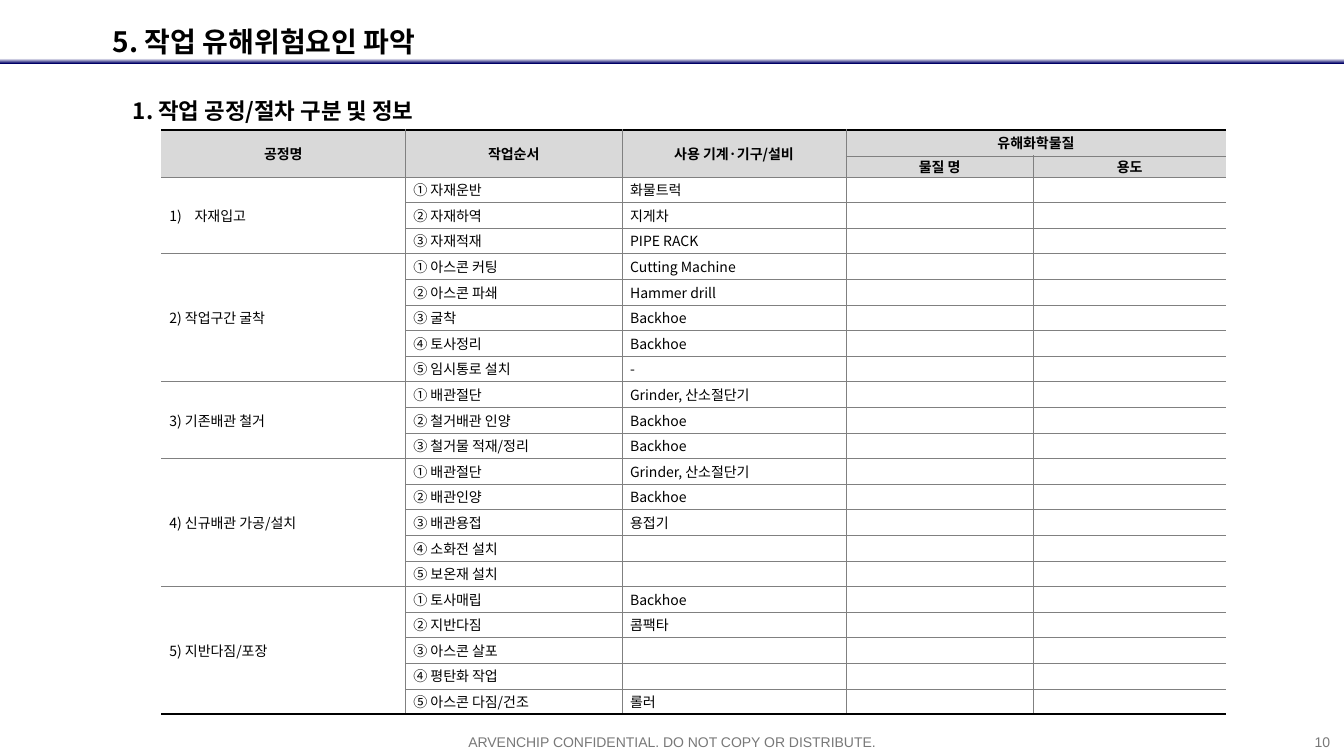
from lxml import etree
from pptx import Presentation
from pptx import util as u
from pptx.dml.color import RGBColor
from pptx.enum import shapes, text
from pptx.oxml.ns import qn

# Content
TITLE = "5. 작업 유해위험요인 파악"
SUB = "1. 작업 공정/절차 구분 및 정보"
FOOT = "ARVENCHIP CONFIDENTIAL. DO NOT COPY OR DISTRIBUTE."
PAGE = "10"
HEAD = ["공정명", "작업순서", "사용 기계·기구/설비", "유해화학물질"]
CHEM = ["물질 명", "용도"]
STEPS = [
    ("자재입고", [("① 자재운반", "화물트럭"), ("② 자재하역", "지게차"),
              ("③ 자재적재", "PIPE RACK")]),
    ("2) 작업구간 굴착", [("① 아스콘 커팅", "Cutting Machine"),
                    ("② 아스콘 파쇄", "Hammer drill"), ("③ 굴착", "Backhoe"),
                    ("④ 토사정리", "Backhoe"), ("⑤ 임시통로 설치", "-")]),
    ("3) 기존배관 철거", [("① 배관절단", "Grinder, 산소절단기"),
                    ("② 철거배관 인양", "Backhoe"),
                    ("③ 철거물 적재/정리", "Backhoe")]),
    ("4) 신규배관 가공/설치", [("① 배관절단", "Grinder, 산소절단기"),
                       ("② 배관인양", "Backhoe"), ("③ 배관용접", "용접기"),
                       ("④ 소화전 설치", ""), ("⑤ 보온재 설치", "")]),
    ("5) 지반다짐/포장", [("① 토사매립", "Backhoe"), ("② 지반다짐", "콤팩타"),
                    ("③ 아스콘 살포", ""), ("④ 평탄화 작업", ""),
                    ("⑤ 아스콘 다짐/건조", "롤러")]),
]
COLS = [2.42, 2.15, 2.22, 1.86, 1.91]
HIGH, LOW = 0.254, 0.21
HEX = {"ink": "000000", "grid": "808080", "head": "D9D9D9",
       "foot": "787878", "navy": "000066", "white": "FFFFFF"}
KR = "Noto Sans CJK KR"
LEFT, MID, RIGHT = (text.PP_ALIGN.LEFT, text.PP_ALIGN.CENTER,
                    text.PP_ALIGN.RIGHT)


def rgb(name):
    return RGBColor.from_string(HEX[name])


def put(obj, vals):
    for key, val in vals.items():
        setattr(obj, key, val)


def write(para, words, size, face=KR, ink="ink", bold=False):
    run = para.add_run()
    run.text = words
    put(run.font, {"size": u.Pt(size), "name": face, "bold": bold})
    run.font.color.rgb = rgb(ink)
    east = etree.SubElement(run.font._element, qn("a:ea"))
    east.set("typeface", face)


def hang(para, inch):
    props = para._p.get_or_add_pPr()
    props.set("marL", str(u.Inches(inch)))
    props.set("indent", str(-u.Inches(inch)))
    return props


def label(box, words, frame, form, **font):
    shape = slide.shapes.add_textbox(*map(u.Inches, box))
    put(shape.text_frame, frame)
    para = shape.text_frame.paragraphs[0]
    put(para, form)
    write(para, words, **font)
    return para


def edge(cell, side, ink, wide):
    line = etree.SubElement(cell._tc.get_or_add_tcPr(), qn("a:ln" + side))
    line.set("w", str(u.Pt(wide)))
    if not wide:
        etree.SubElement(line, qn("a:noFill"))
        return
    fill = etree.SubElement(line, qn("a:solidFill"))
    etree.SubElement(fill, qn("a:srgbClr")).set("val", HEX[ink])


deck = Presentation()
put(deck, {"slide_width": u.Inches(13.33), "slide_height": u.Inches(7.5)})
slide = deck.slides.add_slide(deck.slide_layouts[6])

# Header rule
bar = slide.shapes.add_shape(shapes.MSO_SHAPE.RECTANGLE,
                             *map(u.Inches, (0, 0.58, 13.33, 0.05)))
bar.shadow.inherit = False
bar.line.fill.background()
bar.fill.gradient()
bar.fill.gradient_angle = 270
for stop, name, pos in zip(bar.fill.gradient_stops, ("white", "navy"), (0, 1)):
    stop.color.rgb = rgb(name)
    stop.position = pos

# Footer and headings
small = {"size": 10, "face": "Arial", "ink": "foot"}
label((4.16, 7.23, 5.01, 0.27), FOOT, {"word_wrap": True},
      {"alignment": MID}, **small)
label((12.92, 7.23, 0.37, 0.27), PAGE, {"word_wrap": False},
      {"alignment": RIGHT}, **small)
label((1.02, 0.03, 3.54, 0.6), TITLE,
      {"word_wrap": False, "vertical_anchor": text.MSO_ANCHOR.MIDDLE},
      {"line_spacing": 1.5}, size=20, bold=True)
sub = label((1.22, 0.78, 4.26, 0.5), SUB, {"word_wrap": True},
            {"line_spacing": 1.5, "space_after": u.Pt(10)},
            size=16, bold=True)
hang(sub, 0.29)

# Cell words by place, and merged blocks as (row, col): (rows, cols)
words = {(0, c): name for c, name in enumerate(HEAD)}
words.update({(1, 3 + c): name for c, name in enumerate(CHEM)})
spans = {(0, 0): (2, 1), (0, 1): (2, 1), (0, 2): (2, 1), (0, 3): (1, 2)}
top = 2
for name, tasks in STEPS:
    words[top, 0] = name
    spans[top, 0] = (len(tasks), 1)
    for r, pair in enumerate(tasks, top):
        words[r, 1], words[r, 2] = pair
    top += len(tasks)

# Table
highs = [LOW if r == 1 else HIGH for r in range(top)]
frame = slide.shapes.add_table(
    top, len(COLS), *map(u.Inches, (1.6, 1.29, sum(COLS), sum(highs))))
table = frame.table
put(table, {"first_row": False, "horz_banding": False})
style = table._tbl.tblPr.find(qn("a:tableStyleId"))
style.text = "{2D5ABB26-0587-4C30-8999-92F81FD0307C}"
for col, wide in zip(table.columns, COLS):
    col.width = u.Inches(wide)
for row, high in zip(table.rows, highs):
    row.height = u.Inches(high)

for r in range(top):
    for c in range(len(COLS)):
        cell = table.cell(r, c)
        down, over = spans.get((r, c), (1, 1))
        pad = u.Inches(0 if r == 1 else 0.02)
        put(cell, {"margin_left": u.Inches(0.08), "margin_top": pad,
                   "margin_right": u.Inches(0.08), "margin_bottom": pad,
                   "vertical_anchor": text.MSO_ANCHOR.MIDDLE})
        ends = {"L": c == 0, "R": c + over == len(COLS),
                "T": r == 0, "B": r + down == top}
        for side, end in ends.items():
            if end:
                edge(cell, side, "ink", 1.5 if side in "TB" else 0)
            else:
                edge(cell, side, "grid", 0.25)
        if r < 2:
            cell.fill.solid()
            cell.fill.fore_color.rgb = rgb("head")
        else:
            cell.fill.background()
        para = cell.text_frame.paragraphs[0]
        para.alignment = MID if r < 2 else LEFT
        if words.get((r, c)):
            write(para, words[r, c], 10, bold=r < 2)
        else:
            etree.SubElement(para._p, qn("a:endParaRPr")).set("sz", "1000")

# The first process is numbered by its bullet
first = hang(table.cell(2, 0).text_frame.paragraphs[0], 0.25)
etree.SubElement(first, qn("a:buAutoNum")).set("type", "arabicParenR")

for (r, c), (down, over) in spans.items():
    table.cell(r, c).merge(table.cell(r + down - 1, c + over - 1))

deck.save("out.pptx")
